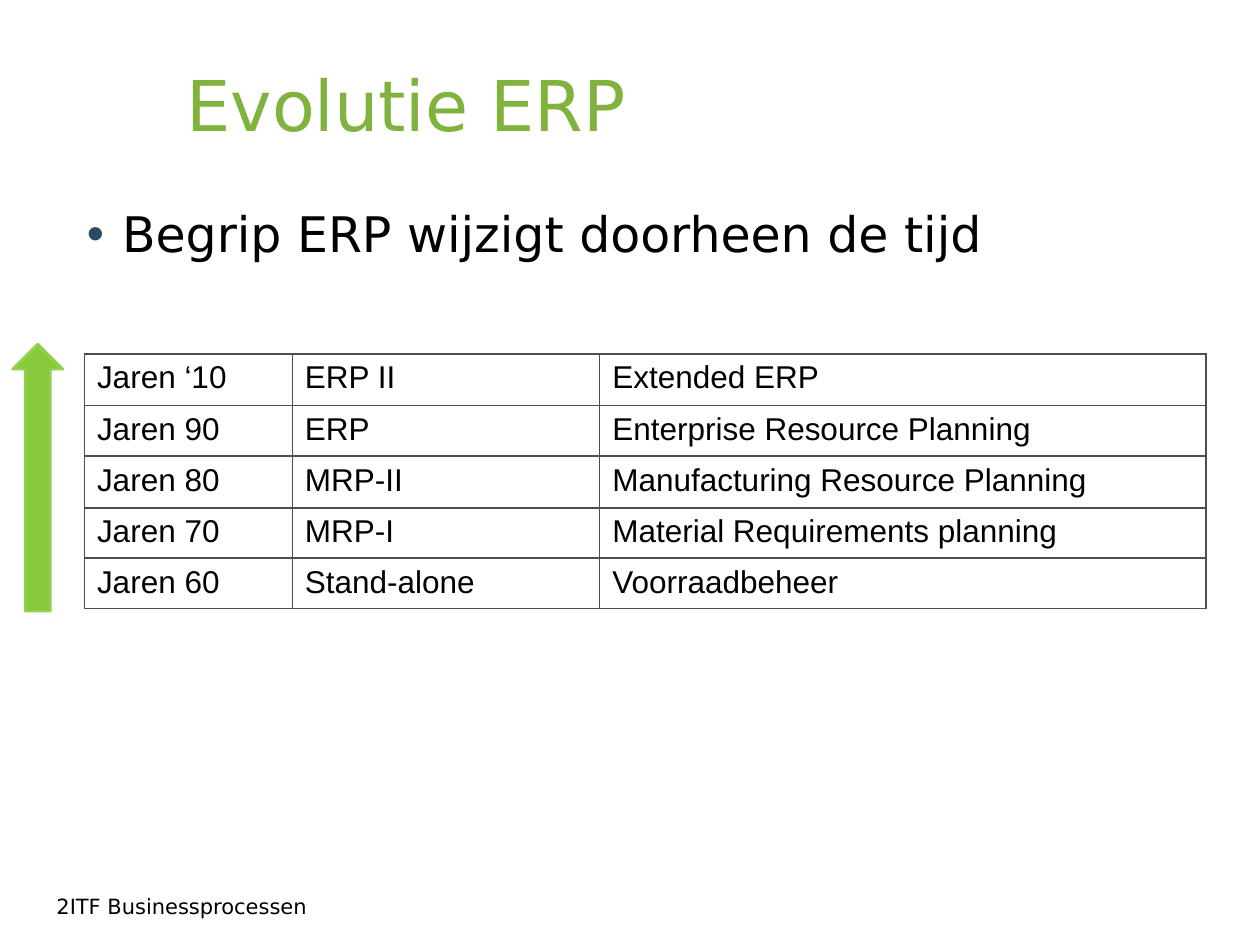
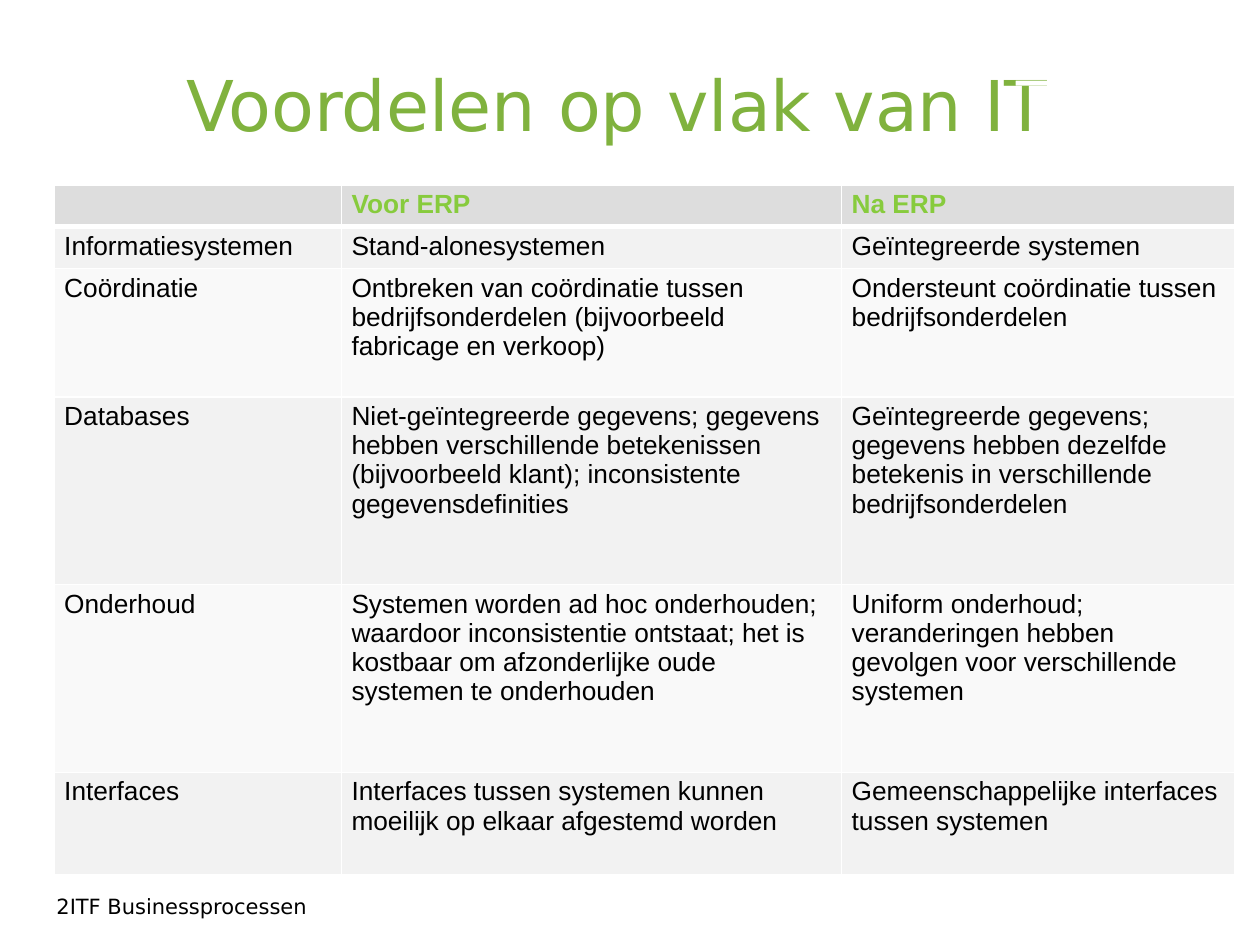
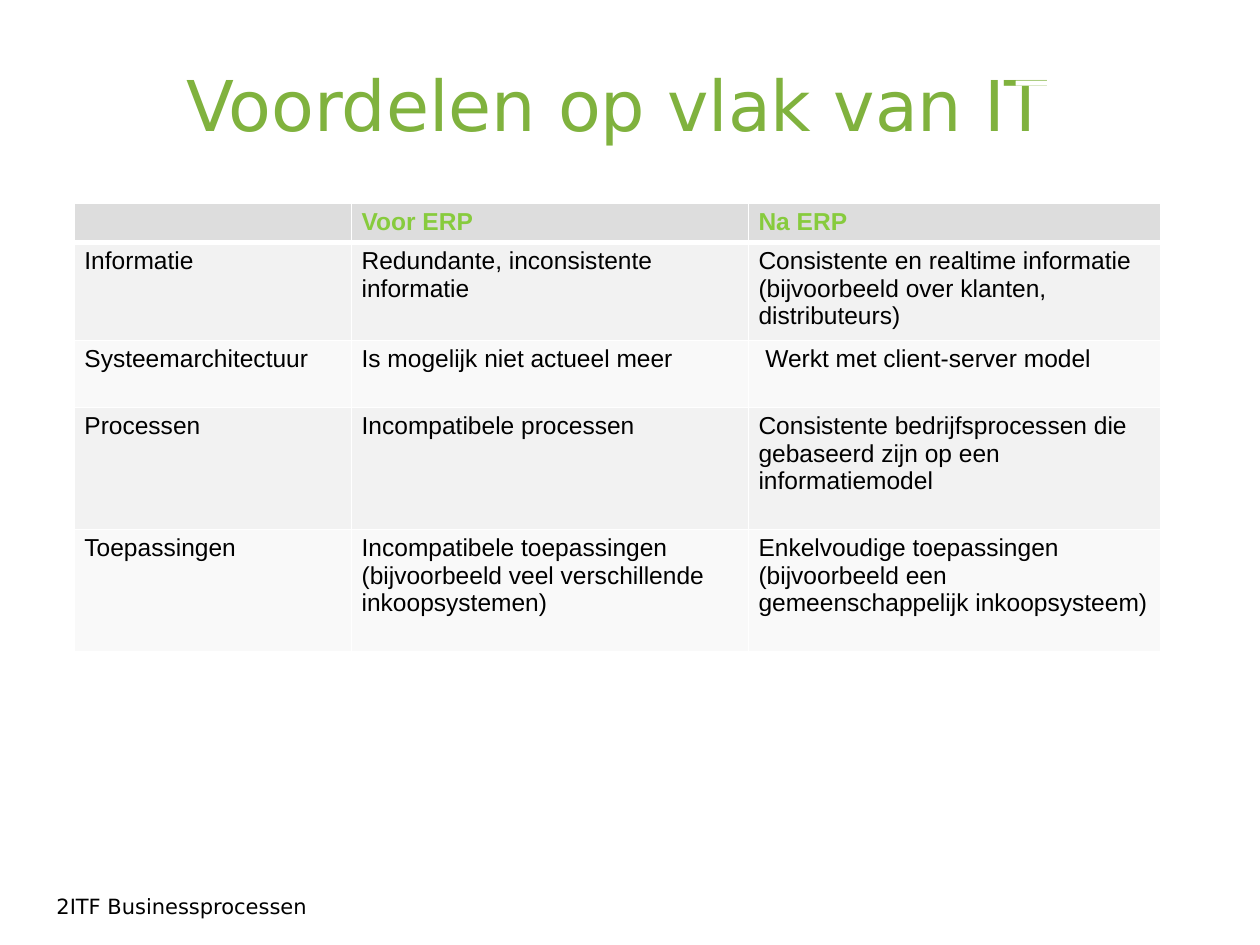
from lxml import etree
from pptx import Presentation
from pptx import util as u
from pptx.dml import color
from pptx.enum import shapes, text
from pptx.oxml import ns

TITLE_GREEN = "80B23E"
ACCENT_GREEN = "87CB3D"
ARROW_EDGE = "92D050"
BULLET_BLUE = "2B4A5E"
BLACK = "000000"
WHITE = "FFFFFF"
GRID_GREY = "4D4D4D"
HEADER_GREY = "DDDDDD"
BAND_GREYS = ["F9F9F9", "F2F2F2"]
TEXT_FONT = "DejaVu Sans"
TABLE_FONT = "Arial"
CORNER_BARS = [
    (shapes.MSO_SHAPE.ROUNDED_RECTANGLE, 8.06, 0.64, 1.75, 0.04, 100),
    (shapes.MSO_SHAPE.RECTANGLE, 9.94, 0, 0.06, 0.68, 65),
    (shapes.MSO_SHAPE.RECTANGLE, 9.89, 0, 0.03, 0.68, 65),
    (shapes.MSO_SHAPE.RECTANGLE, 9.87, 0, 0.01, 0.68, 60),
    (shapes.MSO_SHAPE.RECTANGLE, 9.82, 0, 0.03, 0.68, 40),
    (shapes.MSO_SHAPE.RECTANGLE, 9.75, 0, 0.06, 0.64, 20),
    (shapes.MSO_SHAPE.RECTANGLE, 9.7, 0, 0.01, 0.64, 30),
]


def rgb(value):
    return color.RGBColor.from_string(value)


def style(para, name, size, ink, bold=False):
    para.font.name = name
    para.font.size = u.Pt(size)
    para.font.color.rgb = rgb(ink)
    para.font.bold = bold


pages = [
    {
        "title": "Evolutie ERP",
        "place": (0.67, 2.81),
        "columns": [1.65, 2.44, 4.81],
        "heights": [0.41, 0.4, 0.41, 0.4, 0.4],
        "size": 18,
        "insets": (0.1, 0.05),
        "header": False,
        "rows": [
            ["Jaren ‘10", "ERP II", "Extended ERP"],
            ["Jaren 90", "ERP", "Enterprise Resource Planning"],
            ["Jaren 80", "MRP-II", "Manufacturing Resource Planning"],
            ["Jaren 70", "MRP-I", "Material Requirements planning"],
            ["Jaren 60", "Stand-alone", "Voorraadbeheer"],
        ],
    },
    {
        "title": "Voordelen op vlak van IT",
        "place": (0.43, 1.47),
        "columns": [2.28, 3.97, 3.12],
        "heights": [0.31, 0.32, 1.02, 1.49, 1.49, 0.81],
        "size": 15,
        "insets": (0.08, 0.04),
        "header": True,
        "rows": [
            ["", "Voor ERP", "Na ERP"],
            ["Informatiesystemen", "Stand-alonesystemen", "Geïntegreerde systemen"],
            ["Coördinatie",
             "Ontbreken van coördinatie tussen bedrijfsonderdelen (bijvoorbeeld fabricage en verkoop)",
             "Ondersteunt coördinatie tussen bedrijfsonderdelen"],
            ["Databases",
             "Niet-geïntegreerde gegevens; gegevens hebben verschillende betekenissen "
             "(bijvoorbeeld klant); inconsistente gegevensdefinities",
             "Geïntegreerde gegevens; gegevens hebben dezelfde betekenis in verschillende "
             "bedrijfsonderdelen"],
            ["Onderhoud",
             "Systemen worden ad hoc onderhouden; waardoor inconsistentie ontstaat; het is "
             "kostbaar om afzonderlijke oude systemen te onderhouden",
             "Uniform onderhoud; veranderingen hebben gevolgen voor verschillende systemen"],
            ["Interfaces",
             "Interfaces tussen systemen kunnen moeilijk op elkaar afgestemd worden",
             "Gemeenschappelijke interfaces tussen systemen"],
        ],
    },
    {
        "title": "Voordelen op vlak van IT",
        "place": (0.59, 1.61),
        "columns": [2.2, 3.15, 3.27],
        "heights": [0.3, 0.75, 0.53, 0.97, 0.97],
        "size": 14,
        "insets": (0.08, 0.04),
        "header": True,
        "rows": [
            ["", "Voor ERP", "Na ERP"],
            ["Informatie", "Redundante, inconsistente informatie",
             "Consistente en realtime informatie (bijvoorbeeld over klanten, distributeurs)"],
            ["Systeemarchitectuur", "Is mogelijk niet actueel meer",
             " Werkt met client-server model"],
            ["Processen", "Incompatibele processen",
             "Consistente bedrijfsprocessen die gebaseerd zijn op een informatiemodel"],
            ["Toepassingen",
             "Incompatibele toepassingen (bijvoorbeeld veel verschillende inkoopsystemen)",
             "Enkelvoudige toepassingen (bijvoorbeeld een gemeenschappelijk inkoopsysteem)"],
        ],
    },
]

deck = Presentation()
deck.slide_width = u.Inches(10)
deck.slide_height = u.Inches(7.5)

for content in pages:
    page = deck.slides.add_slide(deck.slide_layouts[5])

    for kind, left, top, width, height, opacity in CORNER_BARS:
        bar = page.shapes.add_shape(
            kind, u.Inches(left), u.Inches(top), u.Inches(width), u.Inches(height))
        bar.shadow.inherit = False
        bar.line.fill.background()
        bar.fill.solid()
        bar.fill.fore_color.rgb = rgb(WHITE)
        if opacity < 100:
            shade = bar._element.spPr.find(".//" + ns.qn("a:srgbClr"))
            etree.SubElement(shade, ns.qn("a:alpha"), val=str(opacity * 1000))

    title = page.shapes.title
    title.left, title.top = u.Inches(1.38), u.Inches(0.24)
    title.width, title.height = u.Inches(8.08), u.Inches(1.17)
    title.text_frame.text = content["title"]
    title.text_frame.vertical_anchor = text.MSO_ANCHOR.MIDDLE
    para = title.text_frame.paragraphs[0]
    para.alignment = text.PP_ALIGN.LEFT
    style(para, TEXT_FONT, 40, TITLE_GREEN)

    footer = page.shapes.add_textbox(u.Inches(0.35), u.Inches(7.04), u.Inches(5.47), u.Inches(0.3))
    footer.text_frame.word_wrap = True
    footer.text_frame.text = "2ITF Businessprocessen"
    style(footer.text_frame.paragraphs[0], TEXT_FONT, 12, BLACK)

    rows, columns, heights = content["rows"], content["columns"], content["heights"]
    left, top = content["place"]
    side, edge = content["insets"]
    table = page.shapes.add_table(
        len(rows), len(columns), u.Inches(left), u.Inches(top),
        u.Inches(sum(columns)), u.Inches(sum(heights))).table
    table.first_row = content["header"]
    table.horz_banding = False
    for column, width in zip(table.columns, columns):
        column.width = u.Inches(width)

    for index, words in enumerate(rows):
        table.rows[index].height = u.Inches(heights[index])
        is_header = content["header"] and index == 0
        for cell, word in zip(table.rows[index].cells, words):
            cell.margin_left = cell.margin_right = u.Inches(side)
            cell.margin_top = cell.margin_bottom = u.Inches(edge)
            cell.text = word
            style(cell.text_frame.paragraphs[0], TABLE_FONT, content["size"],
                  ACCENT_GREEN if is_header else BLACK, is_header)

            properties = cell._tc.get_or_add_tcPr()
            for name in ("lnL", "lnR", "lnT", "lnB"):
                weight = 3 if is_header and name == "lnB" else 1
                line = etree.SubElement(properties, ns.qn("a:" + name), w=str(u.Pt(weight)))
                fill = etree.SubElement(line, ns.qn("a:solidFill"))
                etree.SubElement(fill, ns.qn("a:srgbClr"), val=WHITE if content["header"] else GRID_GREY)

            if content["header"]:
                cell.fill.solid()
                cell.fill.fore_color.rgb = rgb(HEADER_GREY if is_header else BAND_GREYS[index % 2])
            else:
                cell.fill.background()

evolution = deck.slides[0]
box = evolution.shapes.add_textbox(u.Inches(0.47), u.Inches(1.57), u.Inches(9.41), u.Inches(5.47))
box.text_frame.word_wrap = True
box.text_frame.text = "Begrip ERP wijzigt doorheen de tijd"
para = box.text_frame.paragraphs[0]
properties = para._p.get_or_add_pPr()
properties.set("marL", str(u.Inches(0.4)))
properties.set("indent", str(u.Inches(-0.28)))
bullet_color = etree.SubElement(properties, ns.qn("a:buClr"))
etree.SubElement(bullet_color, ns.qn("a:srgbClr"), val=BULLET_BLUE)
etree.SubElement(properties, ns.qn("a:buFont"), typeface=TABLE_FONT)
etree.SubElement(properties, ns.qn("a:buChar"), char="•")
style(para, TEXT_FONT, 28, BLACK)

arrow = evolution.shapes.add_shape(
    shapes.MSO_SHAPE.UP_ARROW, u.Inches(0.1), u.Inches(2.73), u.Inches(0.4), u.Inches(2.12))
arrow.shadow.inherit = False
arrow.fill.solid()
arrow.fill.fore_color.rgb = rgb(ACCENT_GREEN)
arrow.line.color.rgb = rgb(ARROW_EDGE)
arrow.line.width = u.Pt(1.5)

deck.save("out.pptx")
